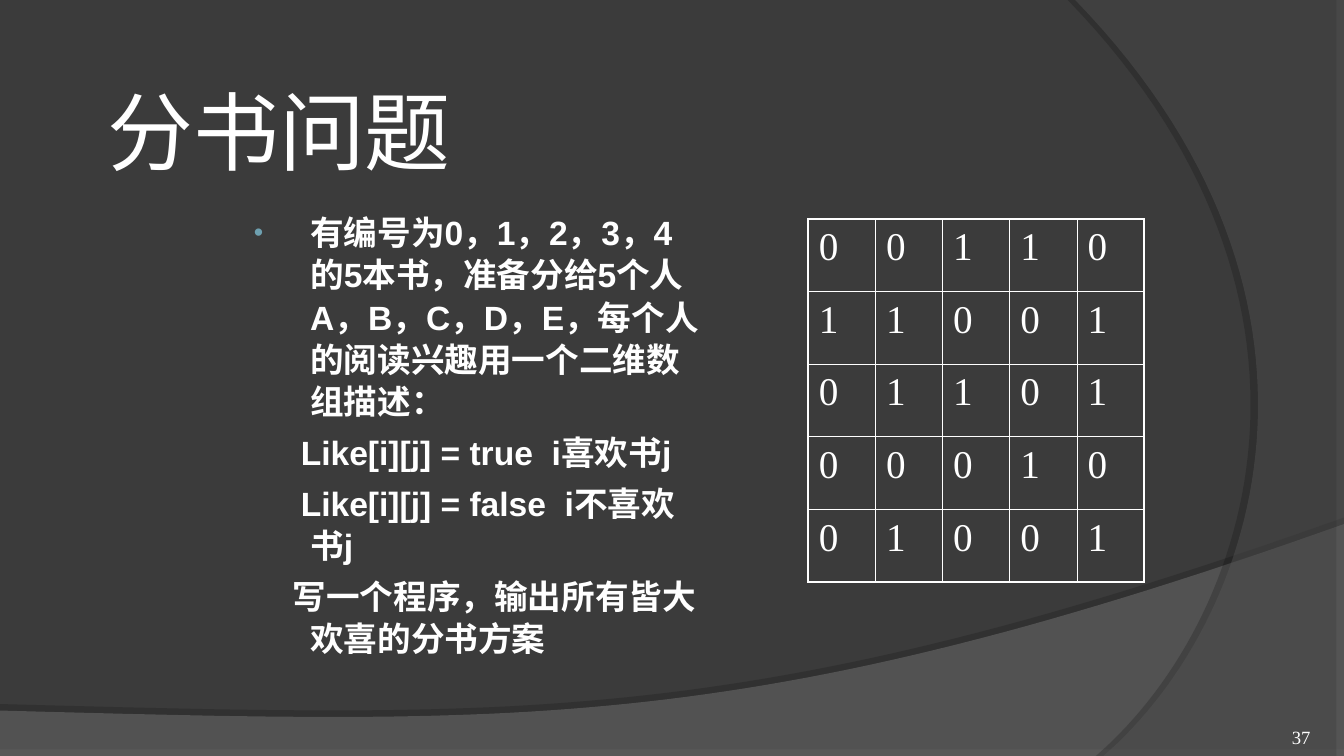
"""Slide on the book-sharing problem: task text beside a 5 by 5 table of likes."""
from lxml import etree
from pptx import Presentation
from pptx.dml.color import RGBColor
from pptx.enum.text import MSO_ANCHOR, PP_ALIGN
from pptx.oxml.ns import qn
from pptx.util import Inches, Pt

LEFT, RIGHT = PP_ALIGN.LEFT, PP_ALIGN.RIGHT
TOP, MIDDLE, BOTTOM = MSO_ANCHOR.TOP, MSO_ANCHOR.MIDDLE, MSO_ANCHOR.BOTTOM
WHITE = RGBColor(0xFF, 0xFF, 0xFF)
DARK = RGBColor(0x3B, 0x3B, 0x3B)
GREY = RGBColor(0x59, 0x59, 0x59)
LIGHT = RGBColor(0x7C, 0x7C, 0x7C)
BLACK = RGBColor(0, 0, 0)
TEAL = RGBColor(0x6E, 0xA0, 0xB0)

prs = Presentation()
prs.slide_width, prs.slide_height = Inches(10), Inches(5.625)
COL, ROW = prs.slide_width // 40, prs.slide_height // 45
s = prs.slides.add_slide(prs.slide_layouts[6])
s.background.fill.solid()
s.background.fill.fore_color.rgb = DARK


def add_color(parent, color, alpha=100):
    fill = etree.SubElement(parent, qn("a:srgbClr"), val=str(color))
    if alpha < 100:
        etree.SubElement(fill, qn("a:alpha"), val=str(alpha * 1000))


def write(tf, lines, size, font, bold=False, align=LEFT, anchor=TOP, inset=(0, 0),
          before=0, spacing=None):
    tf.word_wrap = True
    tf.vertical_anchor = anchor
    tf.margin_left = tf.margin_right = Inches(inset[0])
    tf.margin_top = tf.margin_bottom = Inches(inset[1])
    for i, text in enumerate(lines):
        p = tf.paragraphs[0] if i == 0 else tf.add_paragraph()
        p.alignment, p.space_before, p.line_spacing = align, Pt(before), spacing
        r = p.add_run()
        r.text = text
        r.font.size, r.font.name, r.font.bold = Pt(size), font, bold
        r.font.color.rgb = WHITE


waves = [
    ([(0, 42.3), (0, 45), (40, 45), (40, 31.2)],
     [(22.36, 43.76), (15.64, 43.12), (0, 42.3)], LIGHT, 45, 35, 3.5, 270),
    ([(32, 0), (40, 0), (40, 45), (32.84, 45)],
     [(37.4, 37.12), (40.72, 18), (32, 0)], GREY, 40, 45, 4, 180),
]
for corners, bend, color, alpha, shade, distance, angle in waves:
    control = [corners[-1]] + bend
    points = list(corners)
    for step in range(1, 61):
        t = step / 60
        weights = ((1 - t) ** 3, 3 * t * (1 - t) ** 2, 3 * t * t * (1 - t), t ** 3)
        points.append(tuple(sum(w * c[axis] for w, c in zip(weights, control))
                            for axis in (0, 1)))
    points = [(round(x * COL), round(y * ROW)) for x, y in points]
    builder = s.shapes.build_freeform(*points[0])
    builder.add_line_segments(points[1:])
    sp = builder.convert_to_shape()
    sp.shadow.inherit = False
    sp.line.fill.background()
    sp.fill.solid()
    sp.fill.fore_color.rgb = color
    solid = sp.fill.fore_color._xFill.find(qn("a:srgbClr"))
    etree.SubElement(solid, qn("a:alpha"), val=str(alpha * 1000))
    effects = sp._element.spPr.find(qn("a:effectLst"))
    shadow = etree.SubElement(effects, qn("a:outerShdw"), blurRad="0",
                              dist=str(Pt(distance)), dir=str(angle * 60000),
                              algn="ctr", rotWithShape="0")
    add_color(shadow, BLACK, shade)

task = [
    "有编号为0，1，2，3，4的5本书，准备分给5个人A，B，C，D，E，每个人的阅读兴趣用一个二维数组描述：",
    "Like[i][j] = true  i喜欢书j",
    "Like[i][j] = false  i不喜欢书j",
    "写一个程序，输出所有皆大欢喜的分书方案",
]
boxes = [
    ((3, 4, 34, 7.5), ["分书问题"],
     dict(size=46, font="Cabin", anchor=MIDDLE, inset=(0.05, 0.05))),
    ((7, 12.1, 14.25, 28.8), task,
     dict(size=18, font="Arial", bold=True, inset=(0.1, 0.05), before=4.5, spacing=1.05)),
    ((35.7, 42.15, 3.3, 2.4), ["37"],
     dict(size=10, font="Times New Roman", align=RIGHT, anchor=BOTTOM)),
]
frames = []
for (x, y, w, h), lines, style in boxes:
    sp = s.shapes.add_textbox(round(x * COL), round(y * ROW), round(w * COL), round(h * ROW))
    write(sp.text_frame, lines, **style)
    frames.append(sp.text_frame)

for p, indent in zip(frames[1].paragraphs, (-0.42, -0.07, -0.07, -0.13)):
    pPr = p._p.get_or_add_pPr()
    pPr.set("marL", str(Inches(0.46)))
    pPr.set("indent", str(Inches(indent)))
pPr = frames[1].paragraphs[0]._p.get_or_add_pPr()
add_color(etree.SubElement(pPr, qn("a:buClr")), TEAL)
etree.SubElement(pPr, qn("a:buSzPct"), val="80000")
etree.SubElement(pPr, qn("a:buFont"), typeface="Arial")
etree.SubElement(pPr, qn("a:buChar"), char="•")

likes = ["00110", "11001", "01101", "00010", "01001"]
last = len(likes) - 1
table = s.shapes.add_table(5, 5, round(24.05 * COL), round(13.05 * ROW),
                           10 * COL, round(21.6 * ROW)).table
table.first_row = table.horz_banding = False
for i, digits in enumerate(likes):
    for j, digit in enumerate(digits):
        cell = table.cell(i, j)
        write(cell.text_frame, [digit], 21, "Times New Roman", before=5.2)
        cell.margin_left = cell.margin_right = Inches(0.08)
        cell.margin_top = cell.margin_bottom = Inches(0.05)
        cell.vertical_anchor = TOP
        cell.fill.background()
        tcPr = cell._tc.get_or_add_tcPr()
        edges = (("L", j == 0), ("R", j == last), ("T", i == 0), ("B", i == last))
        for k, (side, outer) in enumerate(edges):
            ln = etree.Element(qn(f"a:ln{side}"), w=str(Pt(1.08 if outer else 0.45)))
            add_color(etree.SubElement(ln, qn("a:solidFill")), WHITE)
            tcPr.insert(k, ln)

prs.save("out.pptx")
